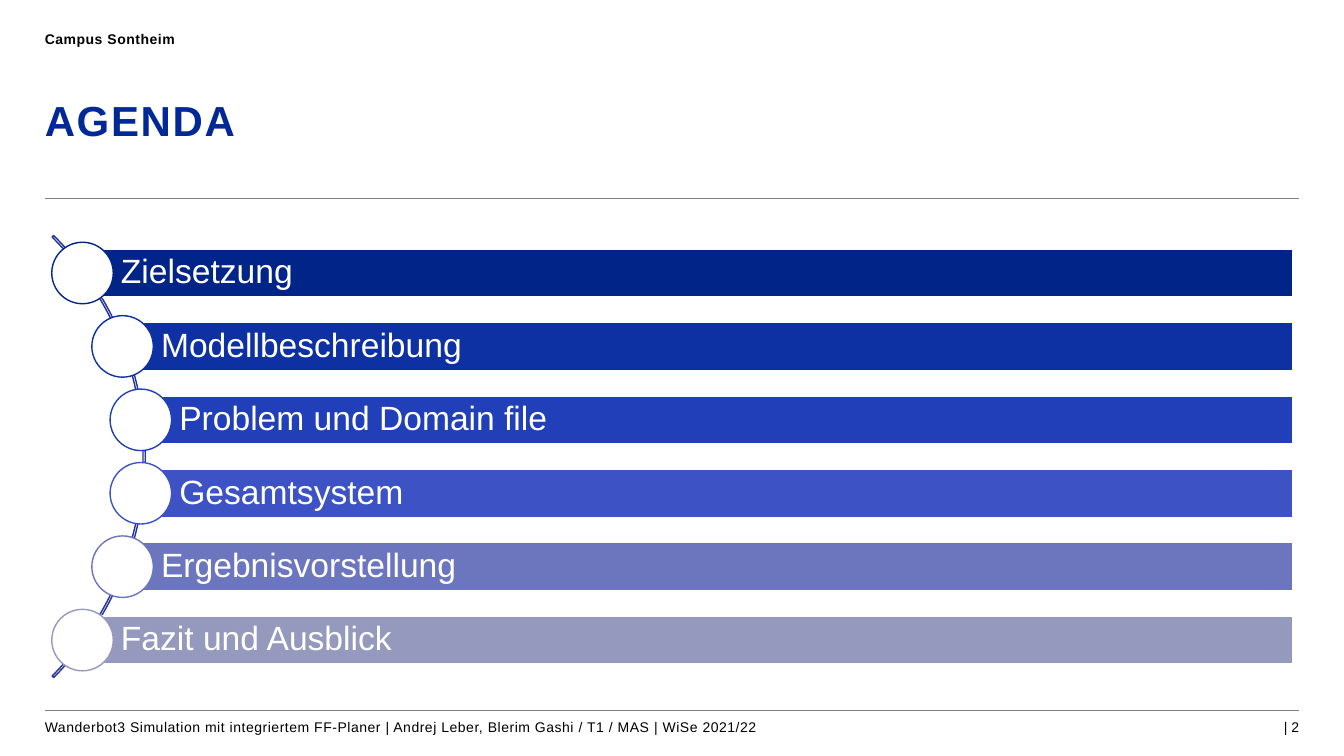
from lxml.etree import SubElement
from pptx import Presentation
from pptx.dml.color import RGBColor
from pptx.enum.shapes import MSO_CONNECTOR, MSO_SHAPE
from pptx.enum.text import MSO_ANCHOR, PP_ALIGN
from pptx.oxml.ns import qn
from pptx.util import Cm, Pt

# Content
CAMPUS = "Campus Sontheim"
TITLE = "AGENDA"
FOOTER = ("Wanderbot3 Simulation mit integriertem FF-Planer | "
          "Andrej Leber, Blerim Gashi / T1 / MAS | WiSe 2021/22")
PAGE = "| 2"

# Colours
BLACK = RGBColor(0x00, 0x00, 0x00)
WHITE = RGBColor(0xFF, 0xFF, 0xFF)
GREY = RGBColor(0x80, 0x80, 0x80)
TITLE_BLUE = RGBColor(0x00, 0x28, 0x96)
ARC_BLUE = RGBColor(0x22, 0x32, 0x98)

# Agenda topics: text, colour, x of the circle's centre in cm
TOPICS = [
    ("Zielsetzung", RGBColor(0x00, 0x24, 0x88), 2.08),
    ("Modellbeschreibung", RGBColor(0x0D, 0x30, 0xA3), 3.09),
    ("Problem und Domain file", RGBColor(0x21, 0x3F, 0xB8), 3.55),
    ("Gesamtsystem", RGBColor(0x3D, 0x52, 0xC5), 3.55),
    ("Ergebnisvorstellung", RGBColor(0x6C, 0x76, 0xBF), 3.09),
    ("Fazit und Ausblick", RGBColor(0x95, 0x99, 0xBE), 2.08),
]

# Layout in cm
LEFT, RIGHT = 1.13, 32.74
RULES = (5.0, 17.91)
FIRST_ROW, ROW_PITCH = 6.88, 1.85
BAR_RIGHT, BAR_HEIGHT = 32.58, 1.21
CIRCLE = 1.55
ARC_LEFT, ARC_TOP, ARC_SIZE = -12.09, 3.63, 15.75

deck = Presentation()
deck.slide_width, deck.slide_height = Cm(33.87), Cm(19.05)
slide = deck.slides.add_slide(deck.slide_layouts[6])


def write(frame, text, size=10, color=BLACK, bold=False, tracking=0,
          align=PP_ALIGN.LEFT, anchor=MSO_ANCHOR.TOP, spacing=1.0,
          insets=(0, 0, 0, 0)):
    frame.word_wrap = True
    frame.vertical_anchor = anchor
    (frame.margin_left, frame.margin_top,
     frame.margin_right, frame.margin_bottom) = map(Cm, insets)
    paragraph = frame.paragraphs[0]
    paragraph.alignment, paragraph.line_spacing = align, spacing
    run = paragraph.add_run()
    run.text = text
    font = run.font
    font.name, font.size, font.bold = "Arial", Pt(size), bold
    font.color.rgb = color
    if tracking:
        run._r.get_or_add_rPr().set("spc", str(round(tracking * 100)))


def add_text(left, top, width, height, text, **text_format):
    box = slide.shapes.add_textbox(Cm(left), Cm(top), Cm(width), Cm(height))
    write(box.text_frame, text, **text_format)


def add_outlined(kind, left, top, width, height, fill, line):
    shape = slide.shapes.add_shape(kind, Cm(left), Cm(top), Cm(width), Cm(height))
    shape.shadow.inherit = False
    if fill is None:
        shape.fill.background()
    else:
        shape.fill.solid()
        shape.fill.fore_color.rgb = fill
    shape.line.color.rgb = line
    shape.line.width = Pt(1)
    return shape


# Rules below the title and above the footer
for y in RULES:
    rule = slide.shapes.add_connector(
        MSO_CONNECTOR.STRAIGHT, Cm(LEFT), Cm(y), Cm(RIGHT), Cm(y))
    rule.line.color.rgb = GREY
    rule.line.width = Pt(0.5)
    SubElement(rule._element.spPr, qn("a:effectLst"))

# Header
add_text(LEFT, 0.76, 20.5, 0.61, CAMPUS, bold=True, tracking=0.4)
add_text(LEFT, 2.49, RIGHT - LEFT, 2.39, TITLE, size=30, color=TITLE_BLUE,
         bold=True, tracking=1.2, spacing=0.94)

# Arc behind the topics, from 315 to 45 degrees
arc = add_outlined(MSO_SHAPE.BLOCK_ARC, ARC_LEFT, ARC_TOP, ARC_SIZE, ARC_SIZE,
                   None, ARC_BLUE)
for index, value in enumerate((189, 27, 0.0035)):
    arc.adjustments[index] = value

# Topics: each bar starts at the centre of its circle
for row, (topic, color, center_x) in enumerate(TOPICS):
    center_y = FIRST_ROW + row * ROW_PITCH
    bar = add_outlined(MSO_SHAPE.RECTANGLE, center_x, center_y - BAR_HEIGHT / 2,
                       BAR_RIGHT - center_x, BAR_HEIGHT, color, WHITE)
    write(bar.text_frame, topic, size=24, color=WHITE, spacing=0.9,
          anchor=MSO_ANCHOR.MIDDLE, insets=(0.97, 0.17, 0.17, 0.17))
    add_outlined(MSO_SHAPE.OVAL, center_x - CIRCLE / 2, center_y - CIRCLE / 2,
                 CIRCLE, CIRCLE, WHITE, color)

# Footer
add_text(LEFT, 18.11, 20.5, 0.61, FOOTER, tracking=0.4)
add_text(27.46, 18.11, RIGHT - 27.46, 0.61, PAGE, align=PP_ALIGN.RIGHT)

deck.save("out.pptx")
